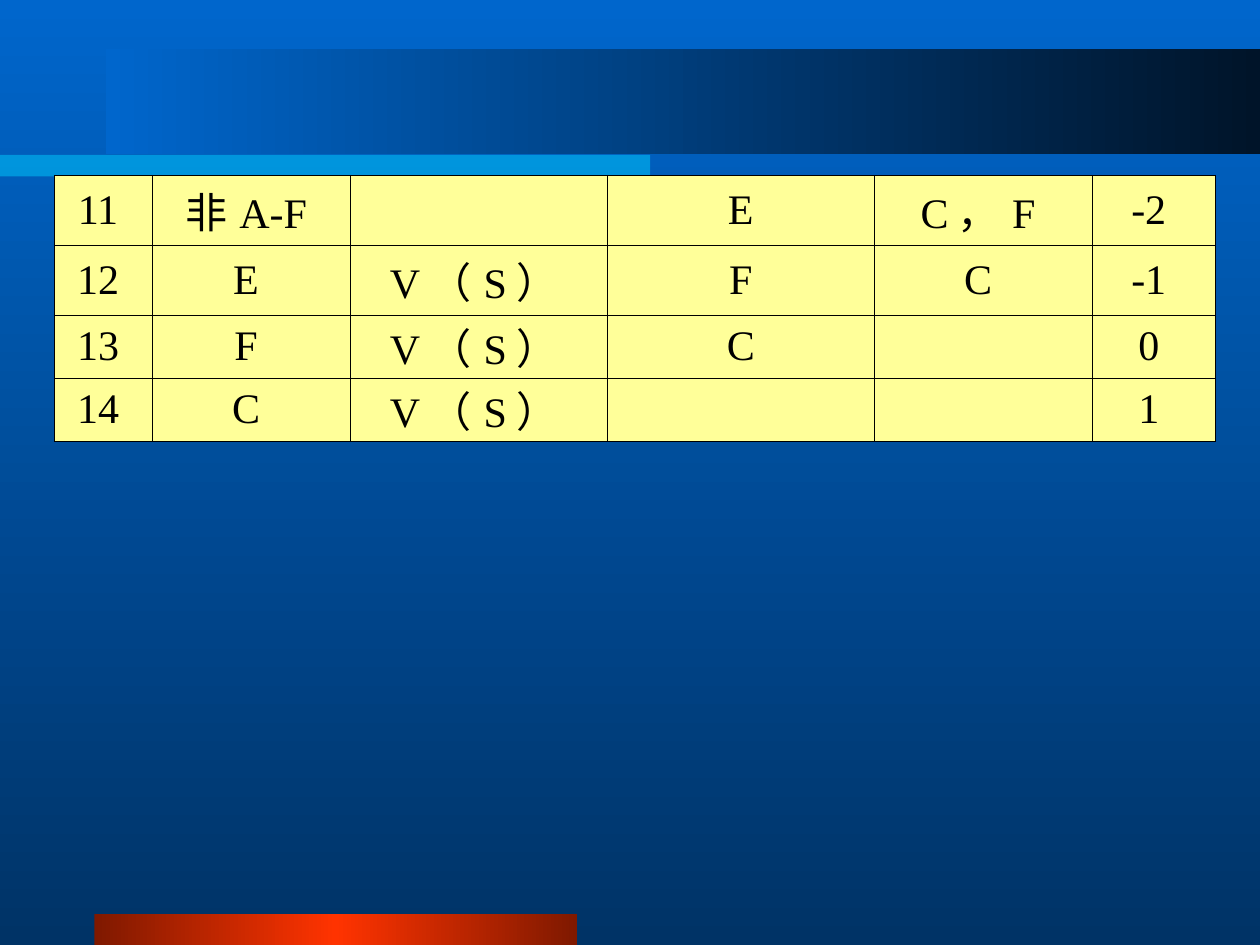
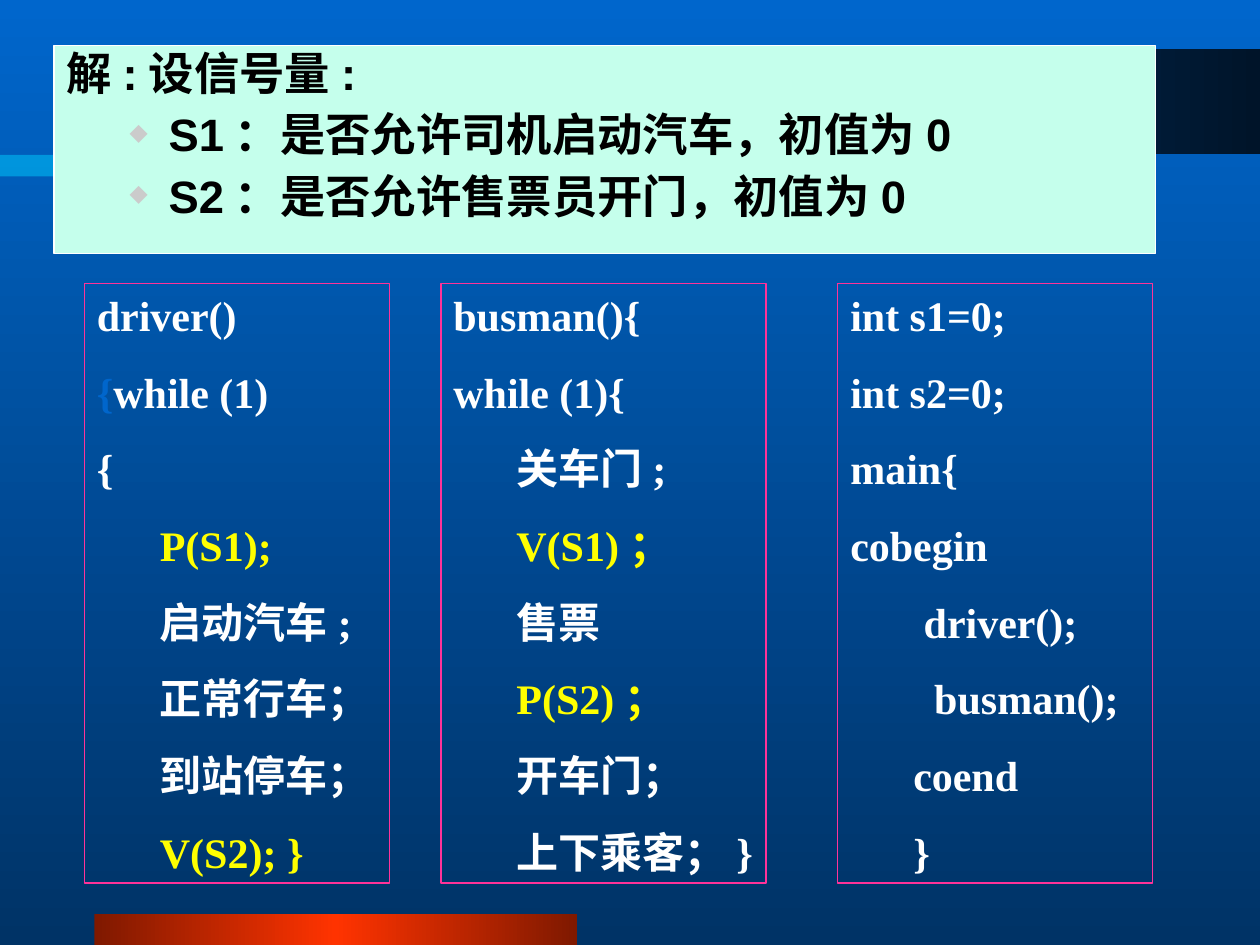
from lxml.etree import SubElement
from pptx import Presentation
from pptx.dml.color import RGBColor as Rgb
from pptx.enum.shapes import MSO_SHAPE as Kind
from pptx.enum.text import MSO_ANCHOR as Anchor, PP_ALIGN as Align
from pptx.oxml.ns import qn
from pptx.util import Inches, Pt

HUE = {
    "blue": "0066CC", "navy": "003366", "night": "001429",
    "rust": "7F1900", "red": "FF3300", "sky": "00CCFF",
    "cream": "FFFF99", "mint": "C5FFEC", "pink": "FF3399",
    "gray": "CBCBCB", "white": "FFFFFF", "black": "000000",
    "yellow": "FFFF00",
}
SERIF, SANS = "Times New Roman", "Arial"

BANDS = [
    ((0.75, 7.25, 3.83, 0.25), ["rust", "red", "rust"]),
    ((0.84, 0.39, 9.16, 0.83), ["blue", "night"]),
]
STRIPE = (-0.01, 1.23, 5.17, 0.17)

STEPS = [
    ["11 ", "非A-F ", "", "E", "C，F ", "-2 "],
    ["12 ", "E ", "V（S） ", "F", "C ", "-1 "],
    ["13 ", "F ", "V（S） ", "C", "", "0 "],
    ["14 ", "C ", "V（S） ", "", "", "1 "],
]
WIDTHS = [0.78, 1.57, 2.04, 2.12, 1.73, 0.98]
HEIGHTS = [0.56, 0.55, 0.5, 0.5]

INTRO = [
    "解:设信号量:",
    "S1：是否允许司机启动汽车，初值为0",
    "S2：是否允许售票员开门，初值为0",
]

W, Y = "white", "yellow"
CODE = [
    (0.67, 2.42, [
        (0, [("driver()", W)]),
        (0, [("{", "blue"), ("while (1)", W)]),
        (0, [("{", W)]),
        (1, [("P(S1);", Y)]),
        (1, [("启动汽车;", W)]),
        (1, [("正常行车；", W)]),
        (1, [("到站停车；", W)]),
        (1, [("V(S2); }", Y)]),
    ]),
    (3.5, 2.58, [
        (0, [("busman(){", W)]),
        (0, [("while (1){", W)]),
        (1, [("关车门;", W)]),
        (1, [("V(S1)；", Y)]),
        (1, [("售票", W)]),
        (1, [("P(S2)；", Y)]),
        (1, [("开车门；", W)]),
        (1, [("上下乘客；}", W)]),
    ]),
    (6.65, 2.5, [
        (0, [("int s1=0;", W)]),
        (0, [("int s2=0;", W)]),
        (0, [("main{", W)]),
        (0, [("cobegin", W)]),
        (0, [("       driver();", W)]),
        (1, [("  busman();", W)]),
        (1, [("coend", W)]),
        (1, [("}", W)]),
    ]),
]


def tint(name):
    return Rgb.from_string(HUE[name])


def blend(fill, root, names, angle):
    fill.gradient()
    fill.gradient_angle = angle
    stops = next(root.iter(qn("a:gsLst")))
    stops.clear()
    for i, name in enumerate(names):
        pos = str(100000 * i // (len(names) - 1))
        stop = SubElement(stops, qn("a:gs"), pos=pos)
        SubElement(stop, qn("a:srgbClr"), val=HUE[name])


def block(slide, box, fill=None, edge=None):
    shape = slide.shapes.add_shape(Kind.RECTANGLE, *map(Inches, box))
    shape.shadow.inherit = False
    if fill:
        shape.fill.solid()
        shape.fill.fore_color.rgb = tint(fill)
    else:
        shape.fill.background()
    if edge:
        shape.line.color.rgb = tint(edge)
        shape.line.width = Pt(0.75)
    else:
        shape.line.fill.background()
    frame = shape.text_frame
    frame.word_wrap = True
    frame.vertical_anchor = Anchor.TOP
    return shape


def style(para, face, size, color=None, bold=False):
    font = para.font
    font.name, font.size, font.bold = face, Pt(size), bold
    if color:
        font.color.rgb = tint(color)


def lines(frame, items, gap):
    for i, item in enumerate(items):
        para = frame.paragraphs[0] if i == 0 else frame.add_paragraph()
        para.alignment = Align.LEFT
        if i:
            para.space_before = Pt(gap)
        yield para, item


def indent(para, left, first=0):
    props = para._p.get_or_add_pPr()
    props.set("marL", str(Inches(left)))
    props.set("indent", str(Inches(first)))
    return props


def base(deck):
    slide = deck.slides.add_slide(deck.slide_layouts[6])
    blend(slide.background.fill, slide.element, ["blue", "navy"], 270)
    for box, names in BANDS:
        band = block(slide, box)
        blend(band.fill, band.element, names, 0)
    stripe = block(slide, STRIPE, "sky")
    color = next(stripe.element.iter(qn("a:srgbClr")))
    SubElement(color, qn("a:alpha"), val="50000")
    return slide


def border(cell):
    props = cell._tc.get_or_add_tcPr()
    for side in ("lnL", "lnR", "lnT", "lnB"):
        line = SubElement(props, qn("a:" + side), w=str(Pt(0.45)))
        fill = SubElement(line, qn("a:solidFill"))
        SubElement(fill, qn("a:srgbClr"), val=HUE["black"])


def trace(slide):
    box = (0.43, 1.39, sum(WIDTHS), sum(HEIGHTS))
    table = slide.shapes.add_table(
        len(STEPS), len(WIDTHS), *map(Inches, box)).table
    table.first_row = table.horz_banding = False
    for col, width in zip(table.columns, WIDTHS):
        col.width = Inches(width)
    for row, height, texts in zip(table.rows, HEIGHTS, STEPS):
        row.height = Inches(height)
        for cell, text in zip(row.cells, texts):
            border(cell)
            cell.fill.solid()
            cell.fill.fore_color.rgb = tint("cream")
            cell.vertical_anchor = Anchor.MIDDLE
            cell.margin_top = cell.margin_bottom = 0
            cell.text = text
            para = cell.text_frame.paragraphs[0]
            para.alignment = Align.CENTER
            style(para, SERIF, 24, "black")


def intro(slide):
    shape = block(slide, (0.43, 0.36, 8.74, 1.65), "mint", "white")
    for para, text in lines(shape.text_frame, INTRO, 7):
        para.text = text
        para.line_spacing = 0.9
        if text == INTRO[0]:
            indent(para, 0.38, -0.38)
        else:
            para.level = 1
            props = indent(para, 0.81, -0.31)
            color = SubElement(props, qn("a:buClr"))
            SubElement(color, qn("a:srgbClr"), val=HUE["gray"])
            SubElement(props, qn("a:buSzPct"), val="52000")
            SubElement(props, qn("a:buChar"), char="◆")
        style(para, SANS, 25.9, "black", True)


def code(slide):
    for left, width, rows in CODE:
        shape = block(slide, (left, 2.25, width, 4.76), edge="pink")
        for para, (level, parts) in lines(shape.text_frame, rows, 15):
            para.level = level
            indent(para, 0.5 * level)
            style(para, SERIF, 24, bold=True)
            for text, color in parts:
                run = para.add_run()
                run.text = text
                run.font.color.rgb = tint(color)


def main():
    deck = Presentation()
    deck.slide_width, deck.slide_height = Inches(10), Inches(7.5)
    trace(base(deck))
    slide = base(deck)
    intro(slide)
    code(slide)
    deck.save("out.pptx")


if __name__ == "__main__":
    main()
